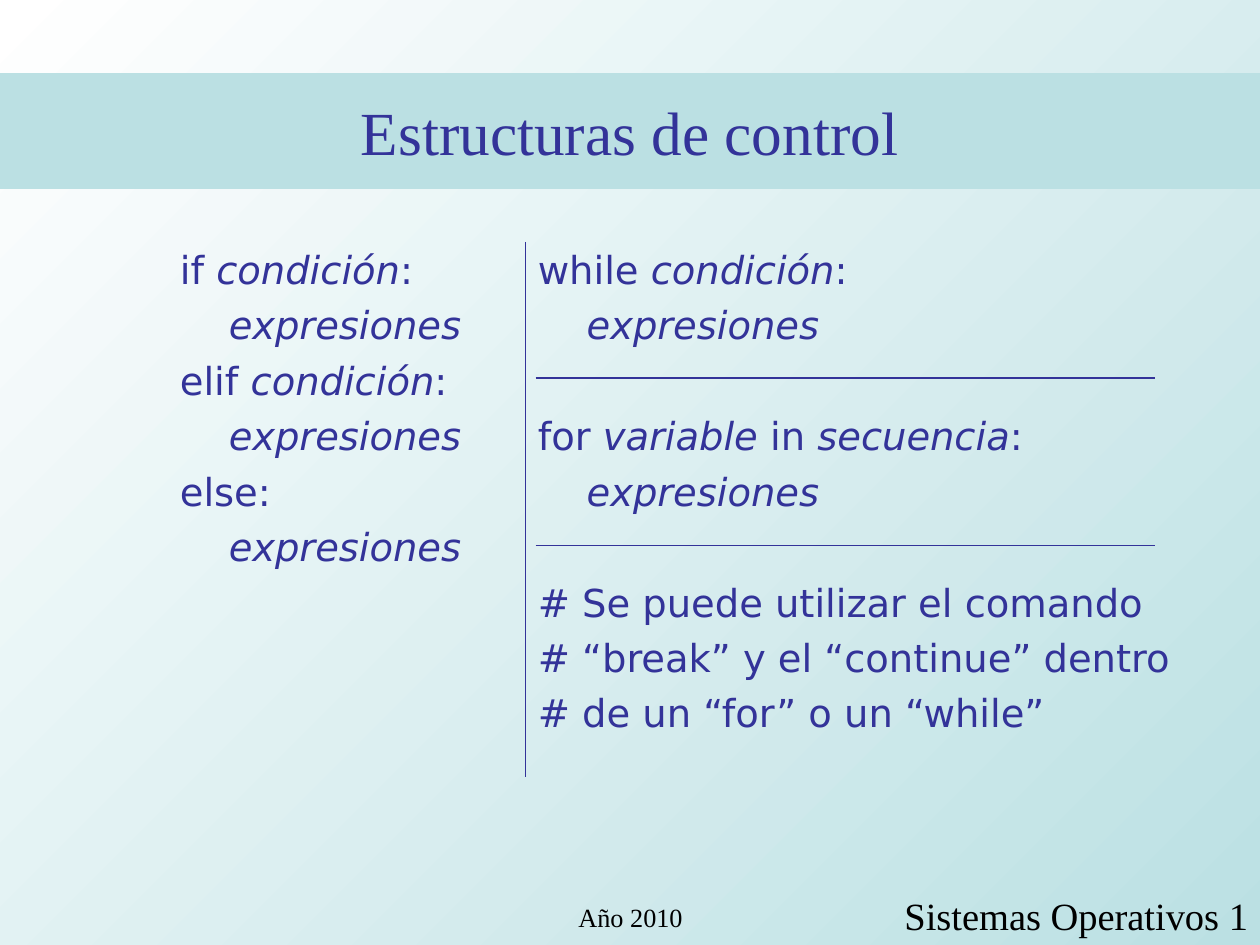
from dataclasses import dataclass

from lxml import etree
from pptx import Presentation, util as u
from pptx.dml.color import RGBColor
from pptx.enum import shapes, text
from pptx.oxml import ns

PX = 9144
INK, BLACK, TEAL, WHITE = "333399", "000000", "BBE0E3", "FFFFFF"
SERIF, SANS = "Times New Roman", "DejaVu Sans"
CODE_SPACING = 1.2
BLANK_LINE = u.Pt(31.7)
BODY = (("    ", False), ("expresiones", True))


@dataclass(frozen=True)
class Style:
    font: str
    size: int
    color: str


@dataclass(frozen=True)
class Area:
    left: int
    top: int
    width: int
    height: int

    def emu(self) -> list:
        return [px(n) for n in (self.left, self.top, self.width, self.height)]


@dataclass(frozen=True)
class Line:
    spans: tuple
    gap_before: bool = False


@dataclass(frozen=True)
class Rule:
    x1: int
    y1: int
    x2: int
    y2: int


CODE = Style(SANS, 22, INK)


def px(length: int) -> int:
    return u.Emu(length * PX)


def rgb(color: str) -> RGBColor:
    return RGBColor.from_string(color)


def plain(words: str) -> tuple:
    return ((words, False),)


def header(keyword: str, name: str) -> tuple:
    return ((keyword + " ", False), (name, True), (":", False))


def add_spans(para, spans: tuple, style: Style) -> None:
    for words, italic in spans:
        span = para.add_run()
        span.text = words
        span.font.name = style.font
        span.font.size = u.Pt(style.size)
        span.font.italic = italic
        span.font.color.rgb = rgb(style.color)


def add_label(page, area: Area, words: str, style: Style, align) -> None:
    box = page.shapes.add_textbox(*area.emu())
    box.text_frame.word_wrap = True
    para = box.text_frame.paragraphs[0]
    para.alignment = align
    add_spans(para, plain(words), style)


def add_title(page, area: Area, words: str, style: Style) -> None:
    band = page.shapes.add_shape(shapes.MSO_SHAPE.RECTANGLE, *area.emu())
    band.shadow.inherit = False
    band.fill.solid()
    band.fill.fore_color.rgb = rgb(TEAL)
    band.line.fill.background()
    frame = band.text_frame
    frame.word_wrap = False
    frame.vertical_anchor = text.MSO_ANCHOR.MIDDLE
    para = frame.paragraphs[0]
    para.alignment = text.PP_ALIGN.CENTER
    add_spans(para, plain(words), style)


def add_code(page, area: Area, lines: tuple) -> None:
    box = page.shapes.add_textbox(*area.emu())
    frame = box.text_frame
    frame.word_wrap = True
    for index, line in enumerate(lines):
        para = frame.add_paragraph() if index else frame.paragraphs[0]
        para.line_spacing = CODE_SPACING
        if line.gap_before:
            para.space_before = BLANK_LINE
        add_spans(para, line.spans, CODE)


def add_rule(page, rule: Rule) -> None:
    ends = [px(n) for n in (rule.x1, rule.y1, rule.x2, rule.y2)]
    connector = page.shapes.add_connector(shapes.MSO_CONNECTOR.STRAIGHT, *ends)
    connector.line.color.rgb = rgb(INK)
    connector.line.width = u.Pt(0.75)
    etree.SubElement(connector._element.spPr, ns.qn("a:effectLst"))


def paint_background(page) -> None:
    fill = page.background.fill
    fill.gradient()
    fill.gradient_angle = 315
    for stop, color, position in zip(fill.gradient_stops, (WHITE, TEAL), (0, 1)):
        stop.color.rgb = rgb(color)
        stop.position = position


CONDITIONALS = (
    Line(header("if", "condición")),
    Line(BODY),
    Line(header("elif", "condición")),
    Line(BODY),
    Line(plain("else:")),
    Line(BODY),
)
LOOPS = (
    Line(header("while", "condición")),
    Line(BODY),
    Line((("for ", False), ("variable", True), (" in ", False),
          ("secuencia", True), (":", False)), gap_before=True),
    Line(BODY),
    Line(plain("# Se puede utilizar el comando"), gap_before=True),
    Line(plain("# “break” y el “continue” dentro")),
    Line(plain("# de un “for” o un “while”")),
)
RULES = (
    Rule(417, 192, 417, 617),
    Rule(425, 300, 917, 300),
    Rule(425, 433, 917, 433),
)


def main() -> None:
    deck = Presentation()
    deck.slide_width, deck.slide_height = px(1000), px(750)
    page = deck.slides.add_slide(deck.slide_layouts[6])
    paint_background(page)
    add_label(page, Area(708, 703, 308, 47), "Sistemas Operativos 1",
              Style(SERIF, 22, BLACK), text.PP_ALIGN.LEFT)
    add_label(page, Area(317, 710, 367, 35), "Año 2010",
              Style(SERIF, 15, BLACK), text.PP_ALIGN.CENTER)
    add_title(page, Area(0, 58, 1000, 92), "Estructuras de control",
              Style(SERIF, 35, INK))
    add_code(page, Area(133, 183, 267, 330), CONDITIONALS)
    add_code(page, Area(417, 183, 542, 406), LOOPS)
    for rule in RULES:
        add_rule(page, rule)
    deck.save("out.pptx")


if __name__ == "__main__":
    main()
